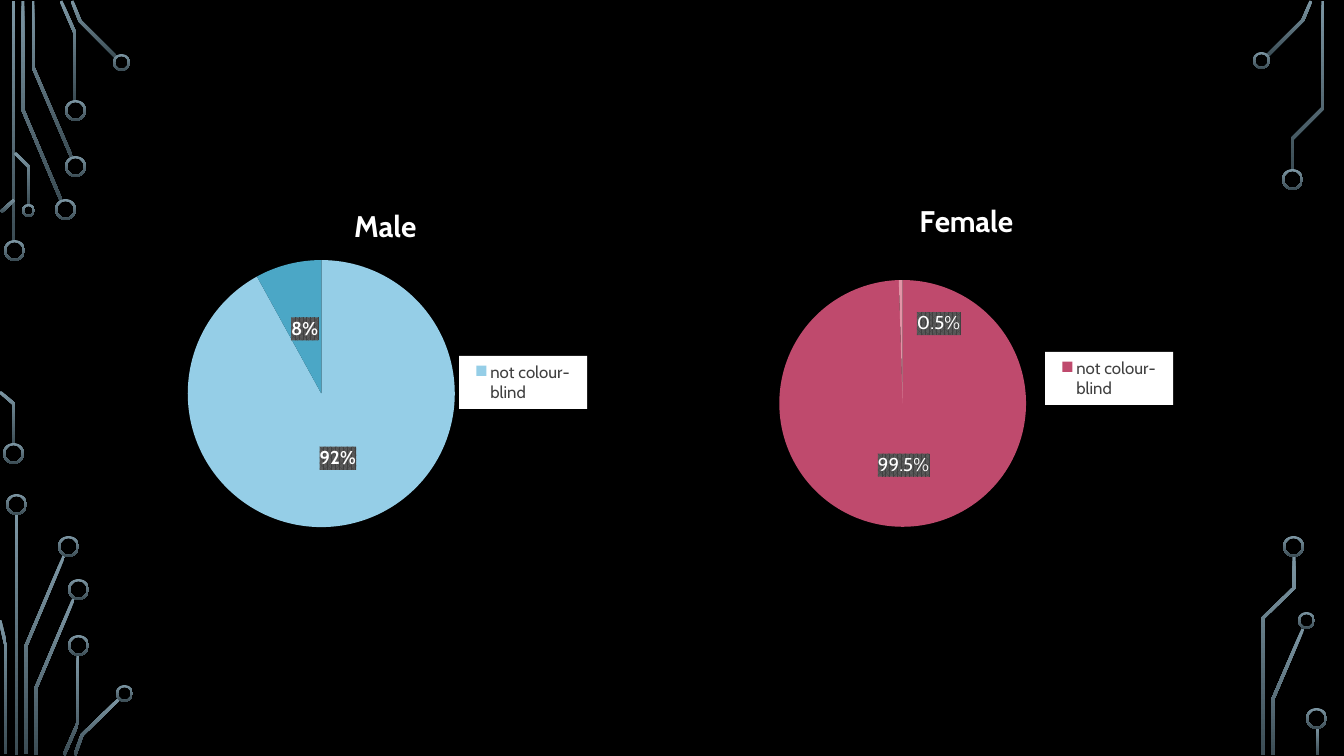
from copy import deepcopy
from dataclasses import dataclass
from math import hypot
from lxml.etree import QName
from pptx import Presentation
from pptx.chart.data import CategoryChartData
from pptx.dml.color import RGBColor
from pptx.enum.chart import XL_CHART_TYPE, XL_LABEL_POSITION, XL_LEGEND_POSITION
from pptx.enum.shapes import MSO_SHAPE
from pptx.oxml import parse_xml
from pptx.oxml.ns import nsdecls, qn
from pptx.util import Pt


@dataclass(frozen=True)
class Theme:
    back: str = "000000"
    light: str = "FFFFFF"
    ink: str = "404040"
    hatch: str = "595959"
    glow: tuple = ("7C96A3", "3B4C54")
    male: tuple = ("95CEE7", "4BA7C6")
    female: tuple = ("BF4A6D", "E194A6")
    face: str = "Cabin"
    base: float = 10
    key: float = 12
    label: float = 13.3
    title: float = 21.3


THEME = Theme()
SCALE = 914400 / 100.8
WIDE, HIGH = 1344, 756
CHART_W, CHART_H = 544, 363
CHART_TOP = 177
TRACE_W = 3
RING_W = 2

BARS = [(12, 1, 241), (15, 514, 241), (1316, 727, 28)]
RINGS = [
    (4, 240, 21), (3, 443, 21), (55, 199, 21), (65, 156, 21), (65, 100, 21),
    (113, 54, 17), (22, 204, 13), (6, 494, 21), (58, 536, 21), (68, 579, 21),
    (68, 635, 21), (116, 685, 17), (1253, 52, 17), (1282, 169, 21),
    (1298, 612, 17), (1283, 536, 21), (1306, 708, 21),
]
TRACES = [
    [(23, 1), (23, 110), (61, 200)],
    [(33, 1), (33, 67), (72, 158)],
    [(61, 1), (75, 33), (75, 101)],
    [(72, 1), (80, 21), (116, 57)],
    [(1, 212), (14, 200)],
    [(0, 392), (14, 404), (14, 445)],
    [(15, 153), (29, 167), (29, 205)],
    [(26, 754), (26, 646), (64, 556)],
    [(6, 754), (6, 646), (0, 620)],
    [(36, 755), (36, 688), (74, 598)],
    [(64, 755), (78, 723), (78, 655)],
    [(75, 755), (82, 735), (119, 699)],
    [(1267, 56), (1303, 20), (1311, 1)],
    [(1273, 755), (1273, 699), (1303, 629)],
    [(1292, 170), (1292, 139), (1323, 108), (1323, 1)],
    [(1263, 755), (1263, 618), (1294, 588), (1294, 556)],
]


def px(value):
    return round(value * SCALE)


def rgb(code):
    return RGBColor.from_string(code)


def style(item, color=None, **values):
    for name, value in values.items():
        setattr(item, name, value)
    if color:
        item.color.rgb = rgb(color)


def glow(shape):
    shape.shadow.inherit = False
    shape.line.fill.background()
    shape.fill.gradient()
    shape.fill.gradient_angle = 270
    for stop, code, place in zip(shape.fill.gradient_stops, THEME.glow, (0, 1)):
        style(stop, color=code, position=place)


def add_bar(slide, left, top, height):
    box = map(px, (left, top, TRACE_W, height))
    glow(slide.shapes.add_shape(MSO_SHAPE.RECTANGLE, *box))


def add_ring(slide, left, top, size):
    ring = slide.shapes.add_shape(MSO_SHAPE.DONUT, *map(px, (left, top, size, size)))
    ring.adjustments[0] = RING_W / size
    glow(ring)


def normal(start, end):
    dx, dy = end[0] - start[0], end[1] - start[1]
    size = hypot(dx, dy)
    return -dy / size, dx / size


def add_trace(slide, points):
    sides = [normal(a, b) for a, b in zip(points, points[1:])]
    left, right = [], []
    for (x, y), (ax, ay), (bx, by) in zip(points, sides[:1] + sides, sides + sides[-1:]):
        reach = TRACE_W / 2 / (1 + ax * bx + ay * by)
        dx, dy = (ax + bx) * reach, (ay + by) * reach
        left.append((px(x + dx), px(y + dy)))
        right.append((px(x - dx), px(y - dy)))
    edge = left + right[::-1]
    pen = slide.shapes.build_freeform(*edge[0])
    pen.add_line_segments(edge[1:], close=True)
    glow(pen.convert_to_shape())


def place(node, index, values, inner=False):
    for old in node.findall(qn("c:layout")):
        node.remove(old)
    target = '<c:layoutTarget val="inner"/>' if inner else ""
    modes = "" if len(values) == 2 and values[0] < 0.1 else (
        '<c:xMode val="edge"/><c:yMode val="edge"/>')
    sizes = "".join(f'<c:{k} val="{v:.3f}"/>' for k, v in zip("xywh", values))
    node.insert(index, parse_xml(
        f'<c:layout {nsdecls("c")}><c:manualLayout>{target}{modes}{sizes}'
        "</c:manualLayout></c:layout>"))


def paint(node, fill):
    node.addnext(parse_xml(f'<c:spPr {nsdecls("c", "a")}>{fill}</c:spPr>'))


def solid(code):
    return f'<a:srgbClr val="{code}"/>'


def share(left, top, width=None, height=None):
    values = [left / CHART_W, top / CHART_H]
    return values + [width / CHART_W, height / CHART_H] if width else values


def add_labels(series, form, bold, shift):
    labels = series.data_labels
    style(labels, number_format=form, number_format_is_linked=False,
          position=XL_LABEL_POSITION.CENTER, show_percentage=True, show_value=False)
    style(labels.font, name=THEME.face, size=Pt(THEME.label), bold=bold, color=THEME.light)
    node = labels._element
    paint(node.find(qn("c:numFmt")),
          f'<a:pattFill prst="pct75"><a:fgClr>{solid(THEME.ink)}</a:fgClr>'
          f"<a:bgClr>{solid(THEME.hatch)}</a:bgClr></a:pattFill>")
    if shift:
        parts = [deepcopy(part) for part in node
                 if QName(part).localname != "showLeaderLines"]
        single = parse_xml(f'<c:dLbl {nsdecls("c")}><c:idx val="1"/></c:dLbl>')
        single.extend(parts)
        place(single, 1, share(*shift))
        node.insert(0, single)


def add_legend(chart, box):
    chart.has_legend = True
    legend = chart.legend
    style(legend, position=XL_LEGEND_POSITION.RIGHT, include_in_layout=False)
    style(legend.font, name=THEME.face, size=Pt(THEME.key), color=THEME.ink)
    node = legend._element
    place(node, 1, share(*box))
    node.insert(1, parse_xml(
        f'<c:legendEntry {nsdecls("c")}><c:idx val="1"/><c:delete val="1"/></c:legendEntry>'))
    paint(node.find(qn("c:overlay")), f"<a:solidFill>{solid(THEME.light)}</a:solidFill>")


def add_pie(slide, left, name, shares, hues, head, pie, key, form, bold, shift=None):
    data = CategoryChartData()
    data.categories = ["not colour-blind", "colour-blind"]
    data.add_series("Series 1", shares)
    frame = map(px, (left, CHART_TOP, CHART_W, CHART_H))
    chart = slide.shapes.add_chart(XL_CHART_TYPE.PIE, *frame, data).chart
    style(chart.font, name=THEME.face, size=Pt(THEME.base), color=THEME.light)
    chart.has_title = True
    title = chart.chart_title
    title.text_frame.text = name
    style(title.text_frame.paragraphs[0].runs[0].font, name=THEME.face,
          size=Pt(THEME.title), bold=True, color=THEME.light)
    place(title._element, 1, share(*head))
    plot = chart.plots[0]
    plot.vary_by_categories = True
    place(plot._element.getparent(), 0, share(*pie), inner=True)
    series = plot.series[0]
    for index, hue in enumerate(hues):
        look = series.points[index].format
        look.fill.solid()
        look.fill.fore_color.rgb = rgb(hue)
        look.line.fill.background()
    add_labels(series, form, bold, shift)
    add_legend(chart, key)


def main():
    deck = Presentation()
    style(deck, slide_width=px(WIDE), slide_height=px(HIGH))
    slide = deck.slides.add_slide(deck.slide_layouts[6])
    slide.background.fill.solid()
    slide.background.fill.fore_color.rgb = rgb(THEME.back)
    for bar in BARS:
        add_bar(slide, *bar)
    for points in TRACES:
        add_trace(slide, points)
    for ring in RINGS:
        add_ring(slide, *ring)
    add_pie(slide, 690, "Female", (99.5, 0.5), THEME.female, head=(224, 18),
            pie=(89, 103, 247, 247), key=(355, 175, 128, 53),
            form="0.0%", bold=False, shift=(37, -18))
    add_pie(slide, 110, "Male", (92, 8), THEME.male, head=(239, 23),
            pie=(78, 83, 267, 267), key=(349, 179, 128, 53), form="0%", bold=True)
    deck.save("out.pptx")


if __name__ == "__main__":
    main()
